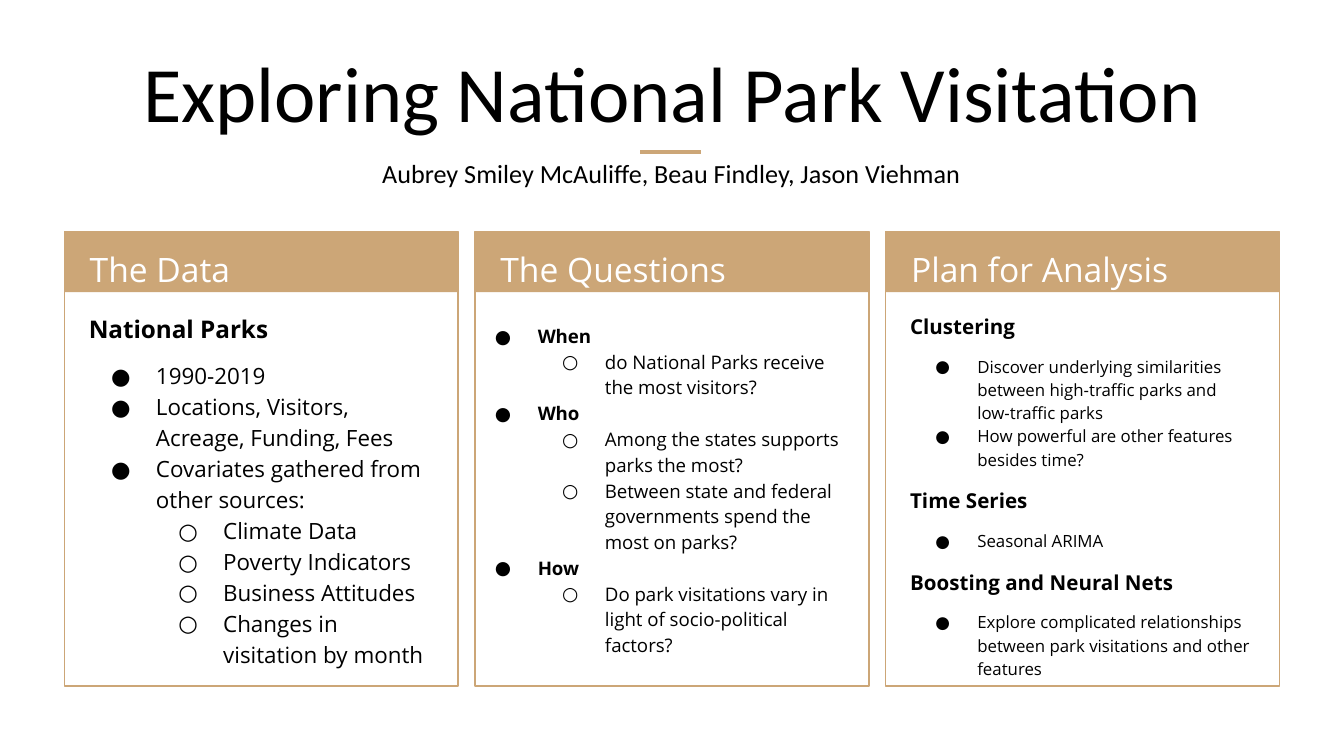
from dataclasses import dataclass

from lxml.etree import SubElement
from pptx import Presentation
from pptx.dml.color import RGBColor
from pptx.enum.shapes import MSO_CONNECTOR, MSO_SHAPE
from pptx.enum.text import MSO_ANCHOR, MSO_AUTO_SIZE, PP_ALIGN
from pptx.oxml.ns import qn
from pptx.util import Pt


@dataclass(frozen=True)
class Theme:
    tan: RGBColor = RGBColor(0xCC, 0xA6, 0x77)
    black: RGBColor = RGBColor(0, 0, 0)
    white: RGBColor = RGBColor(255, 255, 255)
    serif: str = "Calibri"
    sans: str = "Open Sans"
    title: int = 42
    byline: int = 14
    header: int = 18


THEME = Theme()
HEAD, ITEM, TOPIC, SUB = "head", "item", "topic", "sub"
LEFT, TOP, PITCH = 34.5, 124, 220
WIDTH, HEIGHT, BAND = 211, 243.5, 32.5


@dataclass(frozen=True)
class Panel:
    name: str
    body: tuple  # left, top, width, height
    head: int
    size: int
    lines: list


PANELS = [
    Panel("The Data", (40.5, 159, 196.5, 201.5), 13, 12, [
        (HEAD, "National Parks"),
        (ITEM, "1990-2019"),
        (ITEM, "Locations, Visitors, Acreage, Funding, Fees"),
        (ITEM, "Covariates gathered from other sources:"),
        (SUB, "Climate Data"),
        (SUB, "Poverty Indicators"),
        (SUB, "Business Attitudes"),
        (SUB, "Changes in visitation by month"),
    ]),
    Panel("The Questions", (245, 165, 220.5, 201.5), 10, 10, [
        (TOPIC, "When"),
        (SUB, "do National Parks receive the most visitors?"),
        (TOPIC, "Who"),
        (SUB, "Among the states supports parks the most?"),
        (SUB, "Between state and federal governments spend the most on parks?"),
        (TOPIC, "How"),
        (SUB, "Do park visitations vary in light of socio-political factors?"),
    ]),
    Panel("Plan for Analysis", (480.5, 159, 196.5, 210), 11, 9, [
        (HEAD, "Clustering"),
        (ITEM, "Discover underlying similarities between high-traffic parks "
               "and low-traffic parks"),
        (ITEM, "How powerful are other features besides time?"),
        (HEAD, "Time Series"),
        (ITEM, "Seasonal ARIMA"),
        (HEAD, "Boosting and Neural Nets"),
        (ITEM, "Explore complicated relationships between park visitations "
               "and other features"),
    ]),
]


def points(*values):
    return [Pt(value) for value in values]


def style(para, size, face, color=THEME.black, bold=False):
    font = para.font
    font.size, font.name, font.bold = Pt(size), face, bold
    font.color.rgb = color


def set_frame(frame, anchor=MSO_ANCHOR.TOP):
    frame.word_wrap = True
    frame.auto_size = MSO_AUTO_SIZE.NONE
    frame.vertical_anchor = anchor
    frame.margin_left = frame.margin_right = Pt(7.2)
    frame.margin_top = frame.margin_bottom = Pt(7.2)


def add_text(slide, box):
    frame = slide.shapes.add_textbox(*points(*box)).text_frame
    set_frame(frame)
    return frame


def add_bullet(para, level, size):
    """Give the paragraph a black bullet whose hang grows with the type."""
    para.level = level
    props = para._p.get_or_add_pPr()
    props.set("marL", str(Pt(36 * (level + 1))))
    props.set("indent", str(-Pt(18 + size / 2)))
    color = SubElement(props, qn("a:buClr"))
    SubElement(color, qn("a:srgbClr"), val=str(THEME.black))
    SubElement(props, qn("a:buFont"), typeface=THEME.sans)
    SubElement(props, qn("a:buChar"), char="●○"[level])


def add_title(slide):
    title = slide.shapes.title
    title.left, title.top, title.width, title.height = points(24.5, 16, 671, 65.5)
    set_frame(title.text_frame, MSO_ANCHOR.BOTTOM)
    title.text_frame.text = "Exploring National Park Visitation"
    para = title.text_frame.paragraphs[0]
    para.alignment = PP_ALIGN.CENTER
    style(para, THEME.title, THEME.serif)


def add_rule(slide):
    rule = slide.shapes.add_connector(
        MSO_CONNECTOR.STRAIGHT, *points(343, 81.5, 375.5, 81.5))
    rule.line.color.rgb = THEME.tan
    rule.line.width = Pt(2.25)
    SubElement(rule._element.spPr, qn("a:effectLst"))


def add_byline(slide):
    para = add_text(slide, (178, 77, 363.5, 36.5)).paragraphs[0]
    para.text = "Aubrey Smiley McAuliffe, Beau Findley, Jason Viehman"
    para.alignment = PP_ALIGN.CENTER
    style(para, THEME.byline, THEME.serif)


def add_card(slide, left):
    """Draw an outlined card with a filled band, as one group."""
    group = slide.shapes.add_group_shape()
    frame, band = [
        group.shapes.add_shape(MSO_SHAPE.RECTANGLE,
                               *points(left, TOP, WIDTH, height))
        for height in (HEIGHT, BAND)
    ]
    frame.shadow.inherit = band.shadow.inherit = False
    frame.fill.background()
    frame.line.color.rgb = THEME.tan
    frame.line.width = Pt(0.75)
    band.fill.solid()
    band.fill.fore_color.rgb = THEME.tan
    band.line.fill.background()


def add_header(slide, left, name):
    para = add_text(slide, (left + 6.5, TOP - 1, 196, BAND)).paragraphs[0]
    para.text = name
    para.line_spacing = 1.15
    style(para, THEME.header, THEME.sans, THEME.white)


def add_body(slide, panel):
    frame = add_text(slide, panel.body)
    last = None
    for kind, text in panel.lines:
        para = frame.add_paragraph() if last else frame.paragraphs[0]
        para.text = text
        para.line_spacing = 1.15
        para.space_before = Pt(8 if last and HEAD in (kind, last) else 0)
        size = panel.head if kind == HEAD else panel.size
        if kind != HEAD:
            add_bullet(para, int(kind == SUB), size)
        style(para, size, THEME.sans, bold=kind in (HEAD, TOPIC))
        last = kind


def main():
    deck = Presentation()
    deck.slide_width, deck.slide_height = points(720, 405)
    slide = deck.slides.add_slide(deck.slide_layouts[5])
    add_title(slide)
    add_rule(slide)
    for index, panel in enumerate(PANELS):
        left = LEFT + index * PITCH
        add_card(slide, left)
        add_header(slide, left, panel.name)
        add_body(slide, panel)
    add_byline(slide)
    deck.save("out.pptx")


if __name__ == "__main__":
    main()
